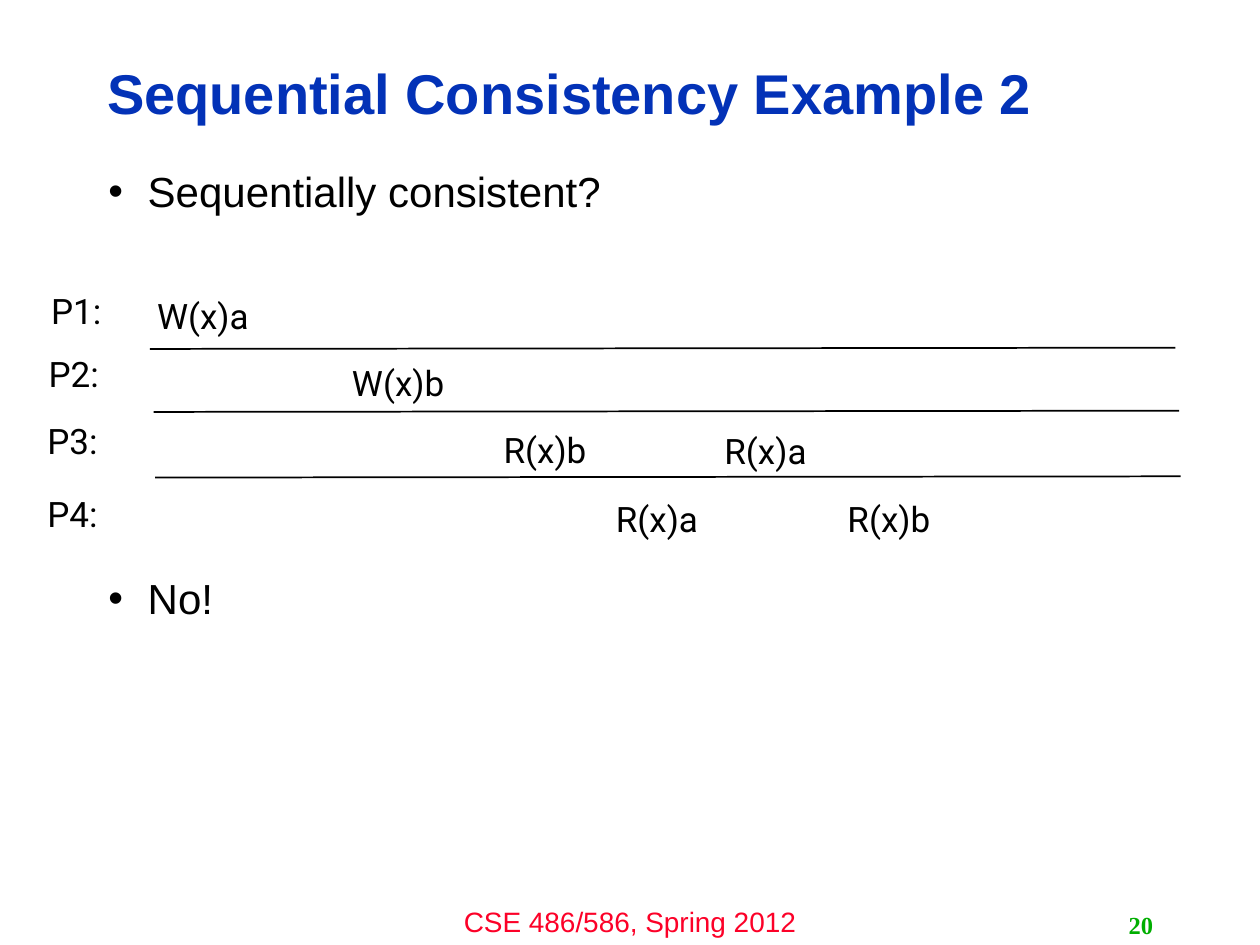
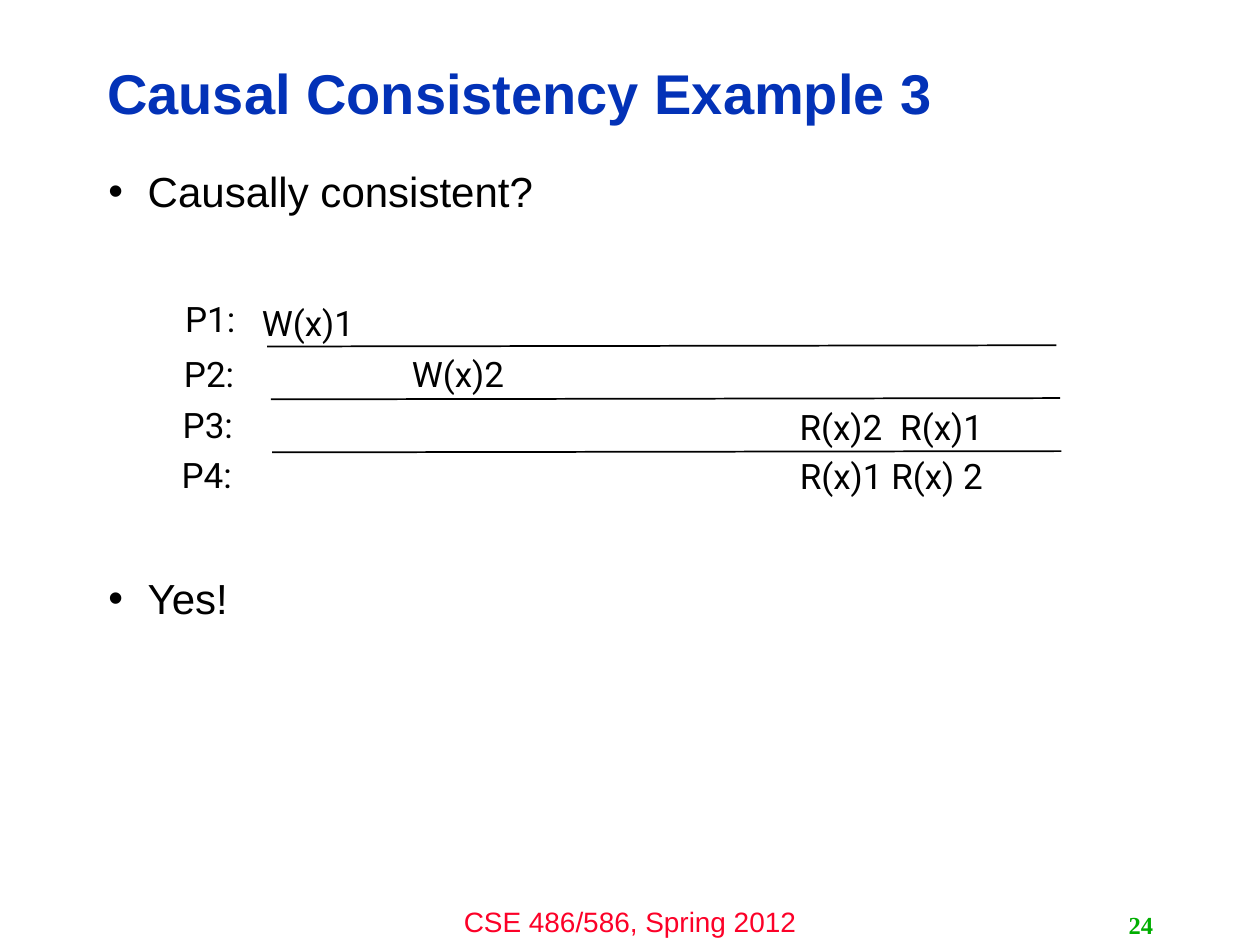
"""Builds two slides on memory consistency, each with a timeline of four processes."""
from lxml.etree import SubElement
from pptx import Presentation
from pptx.dml.color import RGBColor
from pptx.enum.shapes import MSO_CONNECTOR
from pptx.enum.text import MSO_ANCHOR, MSO_AUTO_SIZE, PP_ALIGN
from pptx.oxml.ns import qn
from pptx.util import Pt

BLUE = RGBColor(0x03, 0x32, 0xB7)
RED = RGBColor(0xFC, 0x01, 0x28)
GREEN = RGBColor(0x00, 0xAE, 0x00)
BLACK = RGBColor(0x00, 0x00, 0x00)

FOOTER = "CSE 486/586, Spring 2012"
ROW_HEIGHT = 31.7
LINE_RISE = 0.7
BULLET_INDENT = 22.5
ANSWER_GAP = 206.6

SLIDES = [
    {
        "title": "Sequential Consistency Example 2",
        "question": "Sequentially consistent?",
        "answer": "No!",
        "number": "20",
        "grouped": True,
        "line_length": 586,
        "lines": [(85.7, 199.4), (87.8, 235.4), (88.6, 272.9)],
        "label_width": 46.8,
        "labels": [(20.2, 162), (18.7, 198), (18, 236.2), (18, 277.9)],
        "events": [
            ("W(x)a", 81.4, 164.9, 69.1),
            ("W(x)b", 193.7, 203, 67.7),
            ("R(x)b", 279.4, 241.2, 64.1),
            ("R(x)a", 343.4, 280.8, 64.1),
            ("R(x)a", 405.4, 241.9, 64.1),
            ("R(x)b", 475.9, 280.8, 64.1),
        ],
    },
    {
        "title": "Causal Consistency Example 3",
        "question": "Causally consistent?",
        "answer": "Yes!",
        "number": "24",
        "grouped": False,
        "line_length": 451,
        "lines": [(152.6, 198), (154.8, 228.2), (155.5, 258.5)],
        "label_width": 44.6,
        "labels": [(97.9, 166.3), (97.2, 198), (96.5, 226.8), (95.8, 255.6)],
        "events": [
            ("W(x)1", 141.8, 168.5, 68.4),
            ("W(x)2", 227.5, 198, 68.4),
            ("R(x)2\u2002R(x)1", 447.1, 228.2, 124.6),
            ("R(x)1 R(x) 2", 447.1, 256.3, 124.6),
        ],
    },
]


def place(shape, left, top, width, height):
    shape.left, shape.top = Pt(left), Pt(top)
    shape.width, shape.height = Pt(width), Pt(height)


def style(para, font, size, color, align, bold=False):
    para.alignment = align
    for span in para.runs:
        span.font.name = font
        span.font.size = Pt(size)
        span.font.bold = bold
        span.font.color.rgb = color


def add_label(shapes, text, area, font, size, color, align=PP_ALIGN.CENTER, bold=False, wrap=False):
    box = shapes.add_textbox(*map(Pt, area))
    frame = box.text_frame
    frame.text = text
    frame.word_wrap = wrap
    style(frame.paragraphs[0], font, size, color, align, bold)
    return box


def add_footer(deck, page):
    box = add_label(page.shapes, FOOTER, (240, 513.4, 240, 26.6), "Arial", 16, RED, wrap=True)
    box.element.nvSpPr.cNvPr.set("id", "99")
    deck.slide_master.shapes.element.append(box.element)


def fill_title(page, text):
    title = page.shapes.title
    place(title, 54, 25.9, 574.6, 58.3)
    frame = title.text_frame
    frame.text = text
    frame.auto_size = MSO_AUTO_SIZE.NONE
    frame.vertical_anchor = MSO_ANCHOR.MIDDLE
    frame.paragraphs[0].line_spacing = 0.9
    style(frame.paragraphs[0], "Arial", 32, BLUE, PP_ALIGN.LEFT, True)


def fill_body(page, question, answer):
    body = page.placeholders[1]
    place(body, 54.7, 94.3, 604.8, 388.1)
    frame = body.text_frame
    frame.text = f"{question}\n{answer}"
    frame.auto_size = MSO_AUTO_SIZE.NONE
    frame.vertical_anchor = MSO_ANCHOR.TOP
    for para, gap in zip(frame.paragraphs, (0, ANSWER_GAP)):
        para.line_spacing = 0.9
        para.space_before = Pt(gap)
        style(para, "Arial", 24, BLACK, PP_ALIGN.LEFT)
        properties = para._p.get_or_add_pPr()
        properties.set("marL", str(Pt(BULLET_INDENT)))
        properties.set("indent", str(-Pt(BULLET_INDENT)))
        SubElement(properties, qn("a:buChar")).set("char", "•")


def draw_timeline(page, content):
    shapes = page.shapes.add_group_shape().shapes if content["grouped"] else page.shapes
    for left, top in content["lines"]:
        line = shapes.add_connector(
            MSO_CONNECTOR.STRAIGHT, Pt(left), Pt(top),
            Pt(left + content["line_length"]), Pt(top - LINE_RISE))
        line.line.color.rgb = BLACK
        line.line.width = Pt(1)
        SubElement(line.element.spPr, qn("a:effectLst"))
    labels = [(f"P{number}:", left, top, content["label_width"])
              for number, (left, top) in enumerate(content["labels"], 1)]
    for text, left, top, width in labels + content["events"]:
        add_label(shapes, text, (left, top, width, ROW_HEIGHT), "Roboto", 20, BLACK)


def build():
    deck = Presentation()
    deck.slide_width, deck.slide_height = Pt(720), Pt(540)
    for index, content in enumerate(SLIDES):
        page = deck.slides.add_slide(deck.slide_layouts[1])
        if index == 0:
            add_footer(deck, page)
        fill_title(page, content["title"])
        fill_body(page, content["question"], content["answer"])
        number = add_label(page.shapes, content["number"], (516.2, 517, 149.8, 23),
                           "Times New Roman", 14, GREEN, PP_ALIGN.RIGHT, True)
        number.text_frame.vertical_anchor = MSO_ANCHOR.MIDDLE
        draw_timeline(page, content)
    deck.save("out.pptx")


build()
